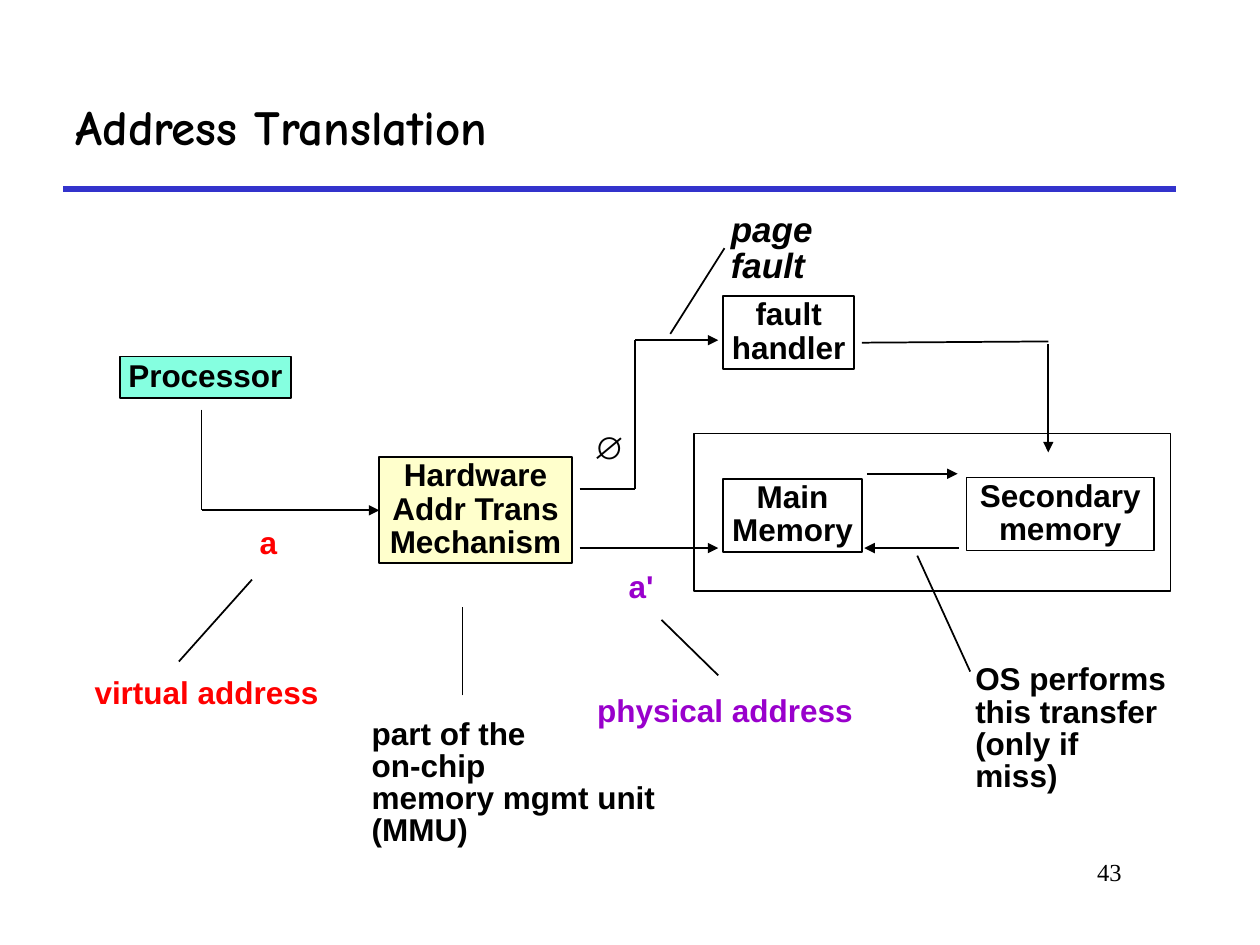
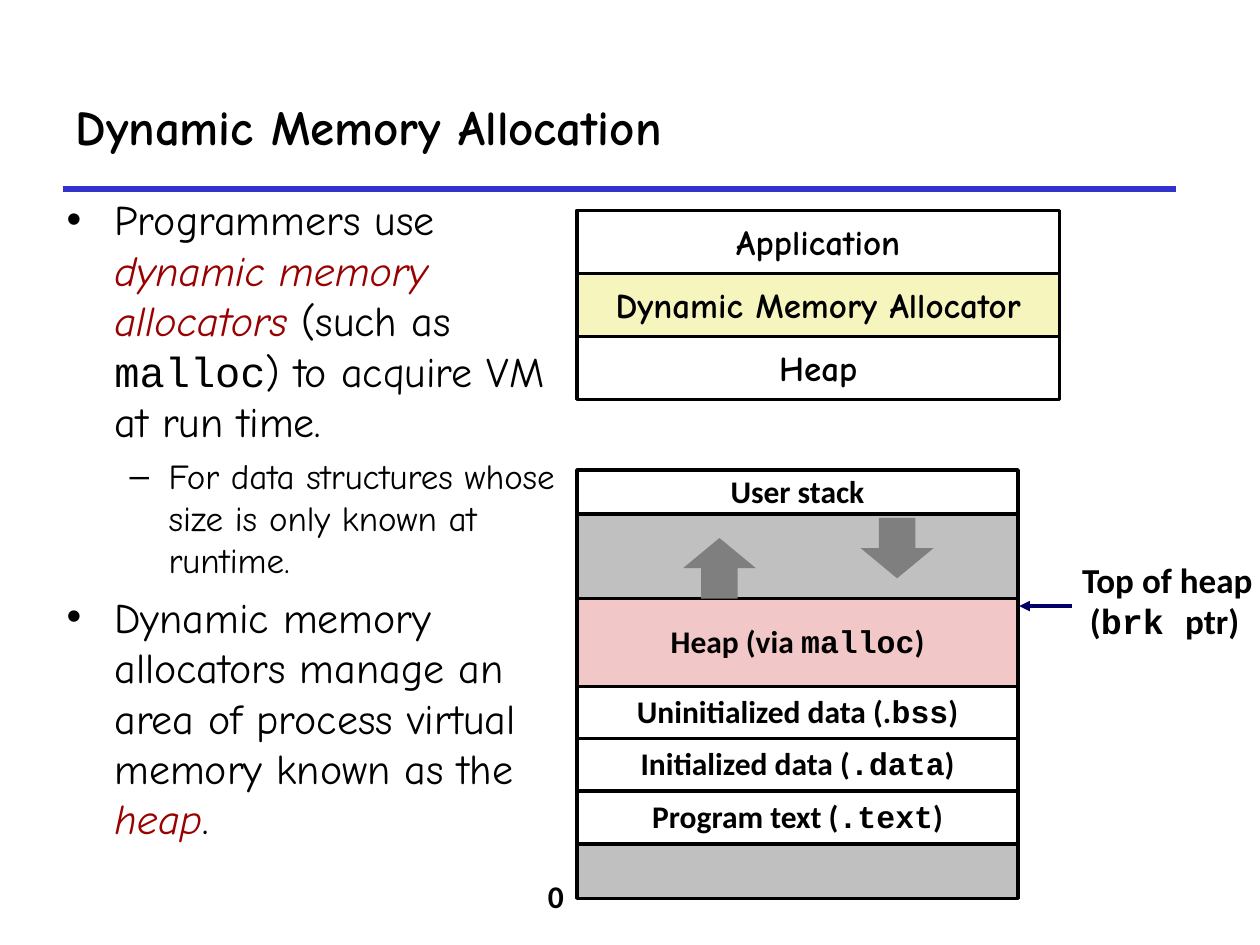
from lxml.etree import SubElement
from pptx import Presentation
from pptx.dml.color import RGBColor
from pptx.enum.shapes import MSO_CONNECTOR, MSO_SHAPE
from pptx.enum.text import MSO_ANCHOR, MSO_AUTO_SIZE, PP_ALIGN
from pptx.oxml.ns import qn
from pptx.util import Inches, Pt

COLORS = {
    "black": "000000", "white": "FFFFFF", "rule": "3333CC",
    "virtual": "FF0000", "physical": "9900CC", "term": "990000",
    "processor": "85FFE0", "hardware": "FFFFCC", "allocator": "F6F5BD",
    "unused": "C0C0C0", "heap": "F1C7C7", "growth": "7F7F7F", "pointer": "000066",
}
HAND, SANS, LABEL, CODE_FONT = "Comic Neue", "Arial", "Calibri", "Courier New"
CODE, TERM = "code", "term"
TIGHT = (0.07, 0.03)
ROOMY = (0.1, 0.05)


def rgb(color):
    return RGBColor.from_string(COLORS[color])


def add_runs(paragraph, line):
    """Add a string, or a list of strings and (text, kind) pairs."""
    for piece in [line] if isinstance(line, str) else line:
        text, kind = (piece, None) if isinstance(piece, str) else piece
        run = paragraph.add_run()
        run.text = text
        if kind == CODE:
            run.font.name = CODE_FONT
        elif kind == TERM:
            run.font.italic = True
            run.font.color.rgb = rgb("term")


def set_font(paragraph, name, size, color="black", bold=True, italic=False):
    font = paragraph.font
    font.name, font.size, font.bold, font.italic = name, Pt(size), bold, italic
    font.color.rgb = rgb(color)


def write(frame, lines, font, size, spacing=1.0, align=PP_ALIGN.LEFT,
          insets=ROOMY, wrap=False, **look):
    """Fill a text frame with one paragraph for each line."""
    frame.word_wrap = wrap
    frame.margin_left = frame.margin_right = Inches(insets[0])
    frame.margin_top = frame.margin_bottom = Inches(insets[1])
    for index, line in enumerate(lines):
        paragraph = frame.paragraphs[0] if index == 0 else frame.add_paragraph()
        paragraph.alignment = align
        paragraph.line_spacing = spacing
        set_font(paragraph, font, size, **look)
        add_runs(paragraph, line)


def add_label(slide, place, lines, font, size, **style):
    label = slide.shapes.add_textbox(*map(Inches, place))
    write(label.text_frame, lines, font, size, **style)
    label.text_frame.auto_size = MSO_AUTO_SIZE.SHAPE_TO_FIT_TEXT
    return label


def add_block(slide, place, fill=None, line_width=None, kind=MSO_SHAPE.RECTANGLE):
    block = slide.shapes.add_shape(kind, *map(Inches, place))
    block.shadow.inherit = False
    if fill:
        block.fill.solid()
        block.fill.fore_color.rgb = rgb(fill)
    else:
        block.fill.background()
    if line_width:
        block.line.color.rgb = rgb("black")
        block.line.width = Pt(line_width)
    else:
        block.line.fill.background()
    return block


def add_text_block(slide, place, fill, line_width, lines, font, size, **style):
    block = add_block(slide, place, fill, line_width)
    block.text_frame.vertical_anchor = MSO_ANCHOR.MIDDLE
    write(block.text_frame, lines, font, size, align=PP_ALIGN.CENTER, **style)
    return block


def add_line(slide, start, end, color="black", width=1, arrow=False):
    line = slide.shapes.add_connector(
        MSO_CONNECTOR.STRAIGHT, *map(Inches, (*start, *end)))
    line.line.color.rgb = rgb(color)
    line.line.width = Pt(width)
    if arrow:
        SubElement(line.line._get_or_add_ln(), qn("a:tailEnd"), type="triangle")
    SubElement(line._element.spPr, qn("a:effectLst"))
    return line


def add_titled_slide(deck, heading):
    slide = deck.slides.add_slide(deck.slide_layouts[5])
    add_line(slide, (0.5, 1.5), (9.33, 1.5), "rule", 3)
    title = slide.shapes.title
    title.left, title.top = Inches(0.5), Inches(0.5)
    title.width, title.height = Inches(8.83), Inches(1)
    title.text_frame.vertical_anchor = MSO_ANCHOR.MIDDLE
    title.text_frame.auto_size = MSO_AUTO_SIZE.NONE
    write(title.text_frame, [heading], HAND, 28, wrap=True)
    return slide


def add_bullets(slide, place, items):
    """Add a bulleted list from (level, line) pairs."""
    looks = [("•", 0.38, 0.38, 24, 6), ("–", 0.81, 0.31, 20, 5)]
    frame = slide.shapes.add_textbox(*map(Inches, place)).text_frame
    frame.word_wrap = True
    for index, (level, line) in enumerate(items):
        mark, margin, hanging, size, before = looks[level]
        paragraph = frame.paragraphs[0] if index == 0 else frame.add_paragraph()
        paragraph.level = level
        properties = paragraph._p.get_or_add_pPr()
        properties.set("marL", str(Inches(margin)))
        properties.set("indent", str(-Inches(hanging)))
        SubElement(properties, qn("a:buFont"), typeface=SANS)
        SubElement(properties, qn("a:buChar"), char=mark)
        if index:
            paragraph.space_before = Pt(before)
        set_font(paragraph, HAND, size, bold=False)
        add_runs(paragraph, line)


def build_address_translation(deck):
    slide = add_titled_slide(deck, "Address Translation")
    add_label(slide, (7.58, 6.75, 1.42, 0.5), ["43"], "Times New Roman", 14,
              bold=False, align=PP_ALIGN.RIGHT, wrap=True)

    def add_unit(place, lines, fill=None, wrap=False):
        return add_text_block(slide, place, fill, 1, lines, SANS, 18,
                              spacing=0.88, insets=TIGHT, wrap=wrap)

    add_unit((0.95, 2.83, 1.36, 0.33), ["Processor"], "processor")
    hardware = add_unit((3.01, 3.63, 1.53, 0.84),
                        ["Hardware", "Addr Trans", "Mechanism"], "hardware")
    add_unit((5.74, 2.35, 1.04, 0.58), ["fault", "handler"])
    add_unit((5.74, 3.8, 1.1, 0.58), ["Main", "Memory"])
    add_unit((7.67, 3.79, 1.49, 0.58), ["Secondary memory"], wrap=True)
    add_block(slide, (5.51, 3.44, 3.78, 1.25), line_width=1)

    arrows = [
        ((6.88, 3.76), (7.6, 3.76)), ((7.61, 4.35), (6.86, 4.35)),
        ((4.6, 4.35), (5.7, 4.35)), ((5.04, 2.7), (5.7, 2.7)),
        ((8.32, 2.73), (8.32, 3.59)),
    ]
    for start, end in arrows:
        add_line(slide, start, end, arrow=True)
    request = add_line(slide, (1.6, 4.05), (3.01, 4.05), arrow=True)
    request.end_connect(hardware, 1)

    plain_lines = [
        ((4.6, 3.88), (5.04, 3.88)), ((5.04, 3.88), (5.04, 2.7)),
        ((6.84, 2.72), (8.32, 2.71)), ((1.6, 3.25), (1.6, 4.05)),
        ((5.75, 1.97), (5.32, 2.65)), ((5.7, 5.36), (5.25, 4.92)),
        ((7.28, 4.41), (7.7, 5.33)), ((1.42, 5.25), (2, 4.6)),
    ]
    for start, end in plain_lines:
        add_line(slide, start, end)
    add_line(slide, (3.67, 5.52), (3.67, 4.82), width=0.75)

    notes = [
        ((1.99, 4.17, 0.28, 0.31), ["a"], "virtual"),
        ((0.68, 5.36, 1.92, 0.31), ["virtual address"], "virtual"),
        ((4.92, 4.52, 0.34, 0.31), ["a'"], "physical"),
        ((4.67, 5.5, 2.17, 0.31), ["physical address"], "physical"),
        ((4.64, 3.41, 0.34, 0.31), ["∅"], "black"),
        ((7.67, 5.25, 1.68, 0.82),
         ["OS performs", "this transfer", "(only if miss)"], "black"),
        ((2.88, 5.68, 3.22, 0.82),
         ["part of the", "on-chip", "memory mgmt unit (MMU)"], "black"),
    ]
    for place, lines, color in notes:
        add_label(slide, place, lines, SANS, 18, color=color, spacing=0.85,
                  insets=TIGHT)
    add_label(slide, (5.73, 1.67, 1.45, 0.34), ["page fault"], SANS, 20,
              italic=True, spacing=0.85, insets=TIGHT)


def build_dynamic_allocation(deck):
    slide = add_titled_slide(deck, "Dynamic Memory Allocation")
    add_bullets(slide, (0.43, 1.49, 4.14, 5.44), [
        (0, ["Programmers use ", ("dynamic memory allocators ", TERM), "(such as ",
             ("malloc", CODE), ") to acquire VM at run time."]),
        (1, "For data structures whose size is only known at runtime."),
        (0, ["Dynamic memory allocators manage an area of process virtual memory "
             "known as the ", ("heap", TERM), "."]),
    ])

    left = 4.58
    layers = [("Application", "white"), ("Dynamic Memory Allocator", "allocator"),
              ("Heap", "white")]
    for index, (name, fill) in enumerate(layers):
        add_text_block(slide, (left, 1.67 + 0.5 * index, 3.83, 0.5), fill, 2,
                       [name], HAND, 20)

    regions = [
        (0.35, "white", "User stack"),
        (0.67, "unused", None),
        (0.7, "heap", ["Heap (via ", ("malloc", CODE), ")"]),
        (0.41, "white", ["Uninitialized data (.", ("bss", CODE), ")"]),
        (0.42, "white", ["Initialized data (", (".data", CODE), ")"]),
        (0.42, "white", ["Program text (", (".text", CODE), ")"]),
        (0.43, "unused", None),
    ]
    top = 3.73
    for height, fill, name in regions:
        place = (left, top, 3.5, height)
        if name:
            add_text_block(slide, place, fill, 2, [name], LABEL, 18, spacing=0.98)
        else:
            add_block(slide, place, fill, 2)
        top += height

    add_block(slide, (6.83, 4.11, 0.58, 0.48), "growth", kind=MSO_SHAPE.DOWN_ARROW)
    add_block(slide, (5.42, 4.27, 0.58, 0.48), "growth", kind=MSO_SHAPE.UP_ARROW)
    add_label(slide, (4.25, 6.93, 0.32, 0.4), ["0"], LABEL, 18, spacing=0.98)
    add_label(slide, (8.49, 4.4, 1.57, 0.76),
              ["Top of heap", [" (", ("brk ", CODE), "ptr)"]], LABEL, 20, spacing=0.98)
    add_line(slide, (8.51, 4.81), (8.09, 4.81), "pointer", 2, arrow=True)


def main():
    deck = Presentation()
    deck.slide_width, deck.slide_height = Inches(10), Inches(7.5)
    build_address_translation(deck)
    build_dynamic_allocation(deck)
    deck.save("out.pptx")


if __name__ == "__main__":
    main()
